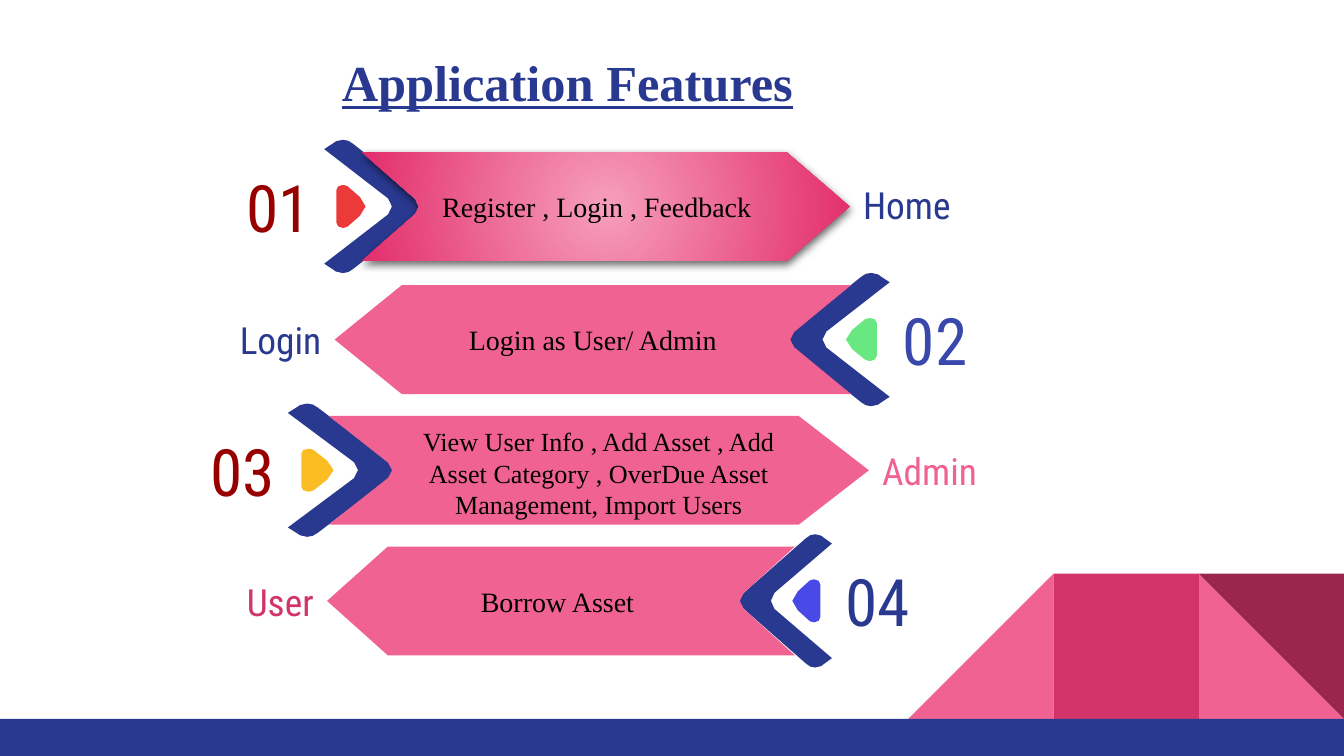
from collections import namedtuple

from lxml.etree import SubElement
from pptx import Presentation
from pptx.dml.color import RGBColor
from pptx.enum.shapes import MSO_SHAPE as Preset
from pptx.enum.text import MSO_ANCHOR as Anchor, MSO_AUTO_SIZE as AutoSize, PP_ALIGN as Align
from pptx.oxml.ns import qn
from pptx.util import Pt

NAVY = RGBColor(0x2A, 0x39, 0x90)
INDIGO = RGBColor(0x39, 0x49, 0xAB)
PINK = RGBColor(0xF0, 0x62, 0x92)
ROSE = RGBColor(0xD2, 0x33, 0x69)
WINE = RGBColor(0x9C, 0x25, 0x4D)
MAROON = RGBColor(0x98, 0x00, 0x00)
RED = RGBColor(0xEC, 0x3A, 0x3B)
GREEN = RGBColor(0x69, 0xE7, 0x81)
YELLOW = RGBColor(0xFC, 0xBD, 0x24)
VIOLET = RGBColor(0x49, 0x49, 0xE7)
BLACK = RGBColor(0x00, 0x00, 0x00)
GLOW_INNER = RGBColor(0xF6, 0x9F, 0xBC)
GLOW_OUTER = RGBColor(0xE3, 0x2E, 0x6B)
SERIF = "Times New Roman"
CONDENSED = "Roboto Condensed"

CHEVRON = [
    (0.18, 0), (0.12, 0, 0.1, 0.02, 0.08, 0.03), (0, 0.07), (0.62, 0.44),
    (0.67, 0.48, 0.67, 0.52, 0.62, 0.56), (0, 0.93), (0.08, 0.97),
    (0.1, 0.98, 0.12, 1, 0.18, 1), (0.22, 1, 0.25, 0.99, 0.28, 0.97),
    (0.95, 0.56), (1.02, 0.52, 1.02, 0.48, 0.95, 0.44), (0.28, 0.03),
    (0.25, 0.01, 0.22, 0, 0.18, 0),
]
DROP = [
    (0.21, 0), (0.08, 0, 0, 0.05, 0, 0.12), (0, 0.88),
    (0, 0.95, 0.08, 1, 0.21, 1), (0.25, 1, 0.33, 0.99, 0.38, 0.97), (0.8, 0.72),
    (1.06, 0.6, 1.06, 0.4, 0.8, 0.28), (0.38, 0.03), (0.33, 0.01, 0.25, 0, 0.21, 0),
]
ARROW = [
    (0, 0), (0.11, 0.43), (0.12, 0.46, 0.12, 0.54, 0.11, 0.57), (0, 1),
    (0.87, 1), (1, 0.5), (0.87, 0),
]

Feature = namedtuple(
    "Feature",
    "number number_color label label_color label_top text size drop_color top "
    "chevron_left chevron_width arrow_left arrow_width faces_right",
)
FEATURES = [
    Feature("01", MAROON, "Home", NAVY, 92.9, "Register , Login , Feedback", 15, RED,
            74.9, 173.7, 55.2, 193.7, 261.6, True),
    Feature("02", INDIGO, "Login", NAVY, 165.4, "Login as User/ Admin", 15, GREEN,
            146.2, 421.9, 54.7, 179.3, 276.6, False),
    Feature("03", MAROON, "Admin", PINK, 235.4,
            "View User Info , Add Asset , Add Asset Category , OverDue Asset Management, Import Users",
            14, YELLOW, 216.2, 154.2, 57.2, 176.1, 289.4, True),
    Feature("04", NAVY, "User", ROSE, 305.6, "Borrow Asset ", 15, VIOLET,
            286.2, 396, 49.7, 175.2, 250.6, False),
]


def set_values(target, values):
    """Set each named attribute on the target."""
    for name, value in values.items():
        setattr(target, name, value)


def write(shape, text, size, color, font, align=Align.LEFT, anchor=Anchor.MIDDLE,
          side=7.2, top=7.2, bottom=7.2, **styles):
    """Put one formatted paragraph into a shape."""
    frame = shape.text_frame
    set_values(frame, {
        "word_wrap": True, "auto_size": AutoSize.NONE, "vertical_anchor": anchor,
        "margin_left": Pt(side), "margin_right": Pt(side),
        "margin_top": Pt(top), "margin_bottom": Pt(bottom),
    })
    para = frame.paragraphs[0]
    para.alignment = align
    span = para.add_run()
    span.text = text
    set_values(span.font, {"size": Pt(size), "name": font, **styles})
    span.font.color.rgb = color


def paint(shape, color):
    """Give a shape a plain fill without line or shadow."""
    shape.fill.solid()
    shape.fill.fore_color.rgb = color
    shape.line.fill.background()
    shape.shadow.inherit = False
    return shape


def flatten(outline, steps=2):
    """Turn corners (two numbers) and cubic curves (six) into a list of points."""
    points = []
    for part in outline:
        if len(part) == 2:
            points.append(part)
            continue
        controls = [points[-1], part[:2], part[2:4], part[4:]]
        for step in range(1, steps + 1):
            t = step / steps
            weights = ((1 - t) ** 3, 3 * t * (1 - t) ** 2, 3 * t * t * (1 - t), t ** 3)
            points.append(tuple(sum(w * c[axis] for w, c in zip(weights, controls))
                                for axis in (0, 1)))
    return points


def add_outline(page, outline, left, top, width, height, color, faces_right):
    """Draw a unit outline in a box, mirrored when it faces left."""
    points = [(Pt(left + width * (x if faces_right else 1 - x)), Pt(top + height * y))
              for x, y in flatten(outline)]
    builder = page.shapes.build_freeform(*points[0])
    builder.add_line_segments(points[1:], close=True)
    return paint(builder.convert_to_shape(), color)


def add_preset(page, preset, left, top, width, height, color, rotation=0):
    """Draw a filled preset shape."""
    shape = page.shapes.add_shape(preset, Pt(left), Pt(top), Pt(width), Pt(height))
    paint(shape, color).rotation = rotation


def add_caption(page, text, left, top, width, height, size, color, align):
    """Add a text box in the condensed font."""
    box = page.shapes.add_textbox(Pt(left), Pt(top), Pt(width), Pt(height))
    write(box, text, size, color, CONDENSED, align)


def add_glow(shape):
    """Give a shape a round gradient and a soft shadow below."""
    shape.fill.gradient()
    for stop, color in zip(shape.fill.gradient_stops, (GLOW_INNER, GLOW_OUTER)):
        stop.color.rgb = color
    properties = shape.element.spPr
    gradient = properties.find(qn("a:gradFill"))
    gradient.remove(gradient.find(qn("a:lin")))
    circle = SubElement(gradient, qn("a:path"), {"path": "circle"})
    SubElement(circle, qn("a:fillToRect"), dict.fromkeys("ltrb", "50000"))
    shadow = SubElement(properties.find(qn("a:effectLst")), qn("a:outerShdw"), {
        "blurRad": str(Pt(4.5)), "dist": str(Pt(1.5)), "dir": "5400000",
        "algn": "ctr", "rotWithShape": "0",
    })
    tint = SubElement(shadow, qn("a:srgbClr"), {"val": str(BLACK)})
    SubElement(tint, qn("a:alpha"), {"val": "59000"})


def add_feature(page, item):
    """Draw one numbered arrow with its chevron, drop and label."""
    right, top, width = item.faces_right, item.top, item.arrow_width
    number_width, label_width, drop_width, gap = (
        width * share for share in (0.28, 0.48, 0.06, 0.025))
    chevron_right = item.chevron_left + item.chevron_width
    number_left = item.chevron_left - number_width if right else chevron_right
    label_left = item.arrow_left + width if right else item.arrow_left - label_width
    drop_left = item.chevron_left + gap if right else chevron_right - gap - drop_width

    add_caption(page, item.number, number_left, top + 16.9, number_width, 37.4, 35,
                item.number_color, Align.RIGHT if right else Align.LEFT)
    add_outline(page, CHEVRON, item.chevron_left, top, item.chevron_width, 71.4, NAVY, right)
    add_outline(page, DROP, drop_left, top + 24.2, drop_width, 23, item.drop_color, right)
    arrow = add_outline(page, ARROW, item.arrow_left, top + 6.6, width, 58.3, PINK, right)
    first = item is FEATURES[0]
    margins = {"top": 2.7, "bottom": 0} if item.size == 14 else {}
    write(arrow, item.text, item.size, BLACK, SERIF,
          Align.LEFT if first else Align.CENTER, side=43.2, **margins)
    if first:
        add_glow(arrow)
    add_caption(page, item.label, label_left, item.label_top, label_width, 33, 20,
                item.label_color, Align.LEFT if right else Align.RIGHT)


def add_corner(page):
    """Draw the folded ribbon and the bar at the foot."""
    side, top, middle = 77.8, 307.3, 564.4
    add_preset(page, Preset.RIGHT_TRIANGLE, middle + side, top, side, side, PINK)
    add_preset(page, Preset.RIGHT_TRIANGLE, middle - side, top, side, side, PINK, 270)
    add_preset(page, Preset.RECTANGLE, middle, top, side, side, ROSE)
    add_preset(page, Preset.RIGHT_TRIANGLE, middle + side, top, side, side, WINE, 180)
    add_preset(page, Preset.RECTANGLE, 0, top + side, 720, 19.9, NAVY)


def main():
    """Build the slide and save the deck."""
    deck = Presentation()
    set_values(deck, {"slide_width": Pt(720), "slide_height": Pt(405)})
    page = deck.slides.add_slide(deck.slide_layouts[5])
    add_corner(page)
    title = page.shapes.title
    set_values(title, {"left": Pt(175.9), "top": Pt(20.2), "width": Pt(608.4), "height": Pt(37.4)})
    write(title, "Application Features", 27, NAVY, SERIF, anchor=Anchor.TOP,
          bold=True, underline=True)
    for item in FEATURES:
        add_feature(page, item)
    deck.save("out.pptx")


if __name__ == "__main__":
    main()
